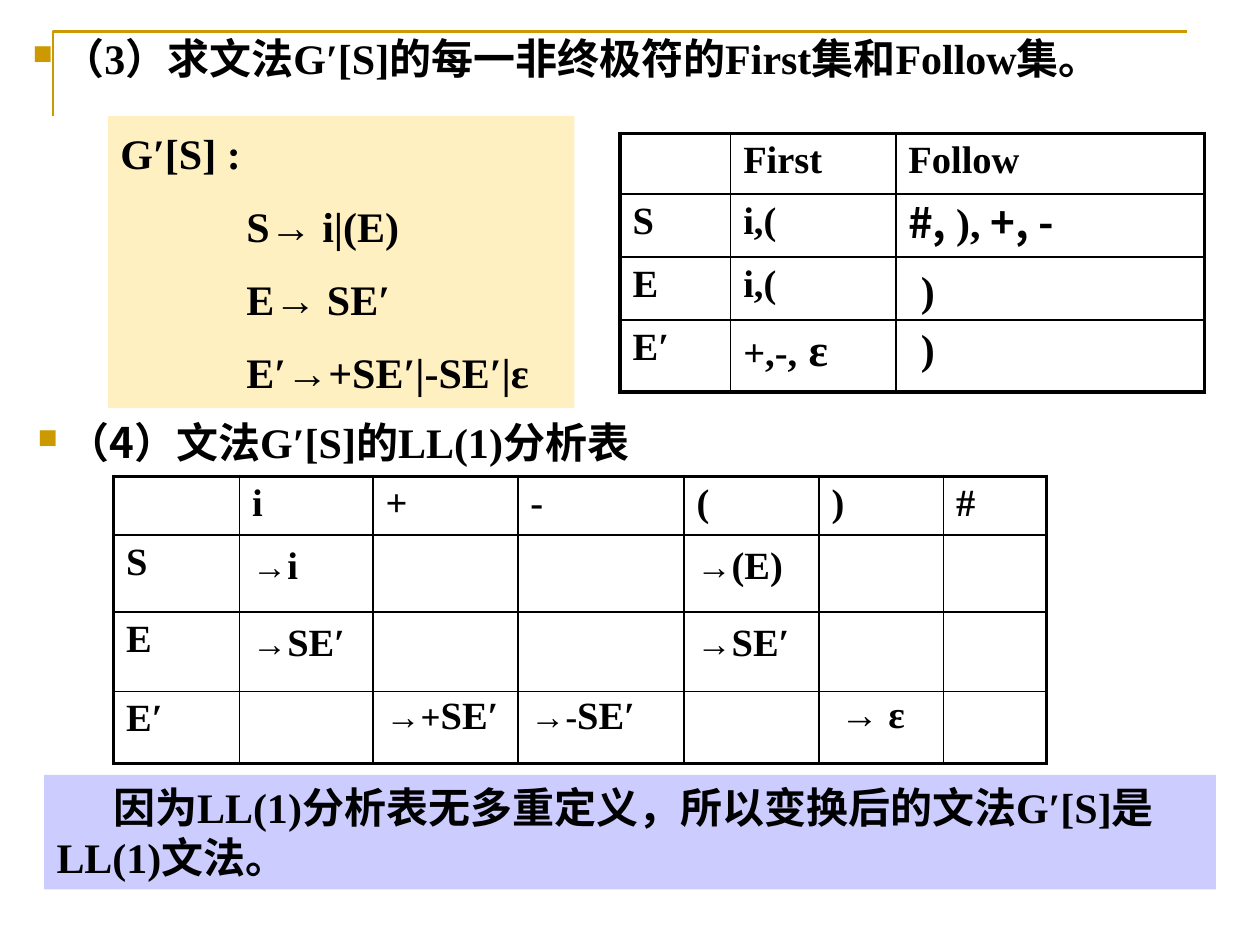
import lxml.etree
import pptx
import pptx.dml.color
import pptx.enum.shapes
import pptx.enum.text
import pptx.oxml.ns
import pptx.util

Cm, Pt = pptx.util.Cm, pptx.util.Pt
qn = pptx.oxml.ns.qn
SERIF, SANS = "Times New Roman", "Noto Sans CJK SC"
BLACK, GOLD, CREAM, LILAC = "000000", "CC9900", "FFF0C2", "CCCCFF"
THIN, THICK = 1, 2.25


def colour(value):
    return pptx.dml.color.RGBColor.from_string(value)


def add_element(parent, tag, **attributes):
    return lxml.etree.SubElement(parent, qn(tag), attributes)


def write(paragraph, runs, size, left=0, indent=0, bullet=False):
    properties = paragraph._p.get_or_add_pPr()
    properties.set("marL", str(Cm(left)))
    properties.set("indent", str(Cm(indent)))
    if bullet:
        marker_colour = add_element(properties, "a:buClr")
        add_element(marker_colour, "a:srgbClr", val=GOLD)
        add_element(properties, "a:buSzPct", val="65000")
        add_element(properties, "a:buChar", char="■")
    paragraph.font.name = SERIF
    paragraph.font.size = Pt(size)
    paragraph.font.bold = True
    paragraph.font.color.rgb = colour(BLACK)
    for text, changes in runs:
        run = paragraph.add_run()
        run.text = text
        for key, value in changes.items():
            setattr(run.font, key, value)


def plain(text):
    return [(text, {})]


def arrow_to(production, sign=""):
    return [("→" + sign, {"size": Pt(20)}), (production, {})]


def text_frame(slide, box, fill=None, wrap=True):
    lengths = [Cm(v) for v in box]
    if fill:
        panel = slide.shapes.add_shape(
            pptx.enum.shapes.MSO_SHAPE.RECTANGLE, *lengths)
        panel.shadow.inherit = False
        panel.fill.solid()
        panel.fill.fore_color.rgb = colour(fill)
        panel.line.fill.background()
    else:
        panel = slide.shapes.add_textbox(*lengths)
    frame = panel.text_frame
    frame.word_wrap = wrap
    frame.vertical_anchor = pptx.enum.text.MSO_ANCHOR.TOP
    for paragraph in frame.paragraphs:
        paragraph.alignment = pptx.enum.text.PP_ALIGN.LEFT
    return frame


def corner_rule(slide, box):
    left, top, width, height = [Cm(v) for v in box]
    builder = slide.shapes.build_freeform(left, top + height)
    builder.add_line_segments(
        [(left, top), (left + width, top)], close=False)
    rule = builder.convert_to_shape()
    rule.shadow.inherit = False
    rule.fill.background()
    rule.line.color.rgb = colour(GOLD)
    rule.line.width = Pt(1.5)


def heading(slide, box, runs):
    frame = text_frame(slide, box)
    write(frame.paragraphs[0], runs, 24, 0.6, -0.6, bullet=True)


def grammar(slide, box, title, rules):
    frame = text_frame(slide, box, CREAM)
    frame.margin_top = Cm(0.23)
    write(frame.paragraphs[0], plain(title), 24)
    for rule in rules:
        paragraph = frame.add_paragraph()
        paragraph.alignment = pptx.enum.text.PP_ALIGN.LEFT
        paragraph.space_before = Pt(13)
        write(paragraph, plain(rule), 24, left=2.54)


def conclusion(slide, box, runs):
    frame = text_frame(slide, box, LILAC)
    write(frame.paragraphs[0], runs, 24, indent=1.14)


def entry(slide, box, runs, size=24, wrap=True):
    write(text_frame(slide, box, wrap=wrap).paragraphs[0], runs, size)


def set_borders(cell, widths):
    properties = cell._tc.get_or_add_tcPr()
    for position, (side, width) in enumerate(zip("LRTB", widths)):
        line = lxml.etree.Element(qn(f"a:ln{side}"), w=str(Pt(width)))
        if width:
            fill = add_element(line, "a:solidFill")
            add_element(fill, "a:srgbClr", val=BLACK)
        else:
            add_element(line, "a:noFill")
        properties.insert(position, line)


def grid(slide, left, top, columns, heights, contents, ruled=True):
    table = slide.shapes.add_table(
        len(heights), len(columns), Cm(left), Cm(top),
        Cm(sum(columns)), Cm(sum(heights))).table
    table.first_row = table.horz_banding = False
    for column, width in zip(table.columns, columns):
        column.width = Cm(width)
    for row, height in zip(table.rows, heights):
        row.height = Cm(height)
    for r in range(len(heights)):
        for c in range(len(columns)):
            cell = table.cell(r, c)
            cell.fill.background()
            edges = (c == 0, c == len(columns) - 1,
                     r == 0, r == len(heights) - 1)
            set_borders(cell, [(THICK if edge else THIN) if ruled else 0
                               for edge in edges])
            content = contents[r][c]
            if content:
                runs = plain(content) if isinstance(content, str) else content
                write(cell.text_frame.paragraphs[0], runs, 22)


def set_table(slide, left, top):
    large = {"size": Pt(26)}
    grid(slide, left, top, [2.23, 3.33, 6.22], [1.22, 1.27, 1.27, 1.45], [
        ["", "First", "Follow"],
        ["S", "i,(", ""],
        ["E", "i,(", ""],
        ["E′", [("+,-,", {}), (" ", {**large, "bold": False}),
                ("ε", large)], ""],
    ])
    follow = left + 5.56
    sans = {"name": SANS}
    entry(slide, (follow, top + 1.14, 6.25, 1.3),
          [("#, ", sans), ("),", {}), (" +, -", sans)])
    for offset in (2.24, 3.4):
        entry(slide, (follow, top + offset, 6.15, 1.63),
              [(" ", {**sans, "size": Pt(32)}), (")", {})])


def analysis_table(slide, left, top):
    columns = [2.54, 2.69, 2.92, 3.35, 2.72, 2.51, 2.08]
    blank = [""] * 6
    grid(slide, left, top, columns, [1.09, 1.55, 1.6, 1.45], [
        ["", "i", "+", "-", "(", ")", "#"],
        ["S", *blank], ["E", *blank], ["E′", *blank],
    ])
    first, second = left + columns[0], left + sum(columns[:2])
    for offset, products in ((1.27, ("i", "(E)")), (2.82, ("SE′", "SE′"))):
        start, end = map(arrow_to, products)
        grid(slide, first, top + offset, columns[1:5], [1.27],
             [[start, "", "", end]], ruled=False)
    entry(slide, (left + 14.4, top + 4.19, 1.83, 1.19),
          plain("→ ε"), 22, wrap=False)
    grid(slide, second, top + 4.29, columns[2:4], [1.68],
         [[arrow_to("SE′", sign) for sign in "+-"]], ruled=False)


def main():
    deck = pptx.Presentation()
    deck.slide_width, deck.slide_height = Cm(25.4), Cm(19.05)
    slide = deck.slides.add_slide(deck.slide_layouts[6])
    corner_rule(slide, (1.07, 0.63, 22.86, 1.7))
    heading(slide, (0.41, 0.53, 25.1, 1.27),
            plain("（3）求文法G′[S]的每一非终极符的First集和Follow集。"))
    heading(slide, (0.51, 8.28, 24, 1.27),
            [("（4）", {"name": SANS}), ("文法G′[S]的LL(1)分析表", {})])
    set_table(slide, 12.5, 2.69)
    analysis_table(slide, 2.29, 9.6)
    grammar(slide, (2.18, 2.34, 9.4, 5.89), "G′[S] :",
            ["S→ i|(E)", "E→ SE′", "E′→+SE′|-SE′|ε"])
    conclusion(slide, (0.89, 15.62, 23.62, 2.31),
               [("因为LL(1)分析表无多重定义，所以变换后的文法G′[S]是LL(1)文法", {}),
                ("。", {"name": SANS})])
    deck.save("out.pptx")


if __name__ == "__main__":
    main()
